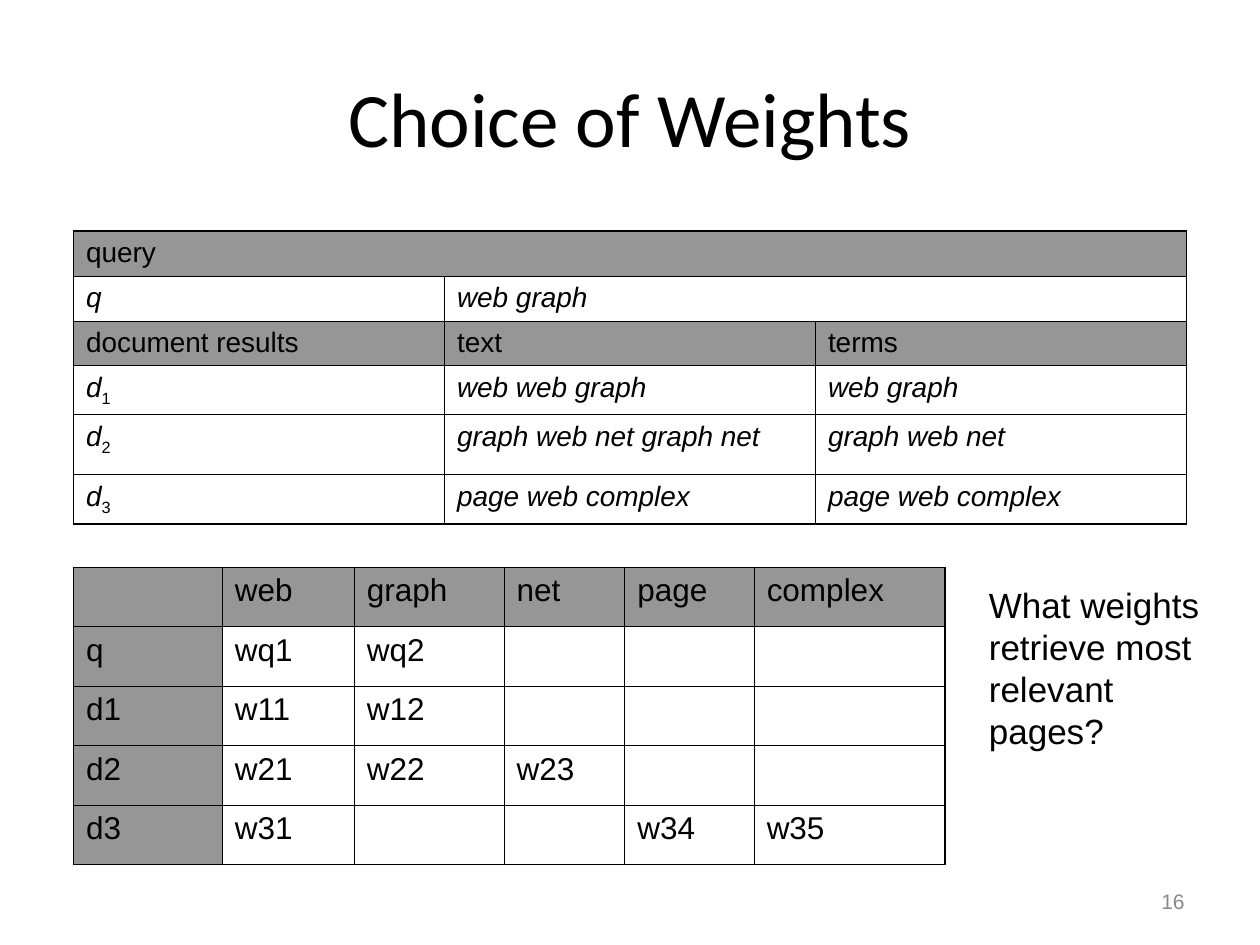
import pptx
import pptx.dml.color
import pptx.enum.text
import pptx.oxml
import pptx.oxml.ns
import pptx.util

Pt = pptx.util.Pt
ALIGN = pptx.enum.text.PP_ALIGN
ANCHOR = pptx.enum.text.MSO_ANCHOR
BLACK, GRAY, HEADER = "000000", "898989", "969696"
THIN, THICK = 0.45, 1.08

DOCUMENTS = dict(
    left=42, top=132, size=16,
    widths=[212] * 3,
    heights=[25.7, 25.7, 25.7, 28, 34.3, 28],
    rows=[
        ["query", "", ""],
        ["q", "web graph", ""],
        ["document results", "text", "terms"],
        ["d_1", "web web graph", "web graph"],
        ["d_2", "graph web net graph net", "graph web net"],
        ["d_3", "page web complex", "page web complex"],
    ],
    header_rows={0, 2}, header_cols=set(), italic_rows={1, 3, 4, 5},
    merges=[((0, 0), (0, 2)), ((1, 1), (1, 2))],
    thick_sides="LTRB",
)
WEIGHTS = dict(
    left=42, top=324, size=18,
    widths=[85, 75.5, 85.5, 69, 74, 109],
    heights=[34] * 5,
    rows=[
        ["", "web", "graph", "net", "page", "complex"],
        ["q", "wq1", "wq2", "", "", ""],
        ["d1", "w11", "w12", "", "", ""],
        ["d2", "w21", "w22", "w23", "", ""],
        ["d3", "w31", "", "", "w34", "w35"],
    ],
    header_rows={0}, header_cols={0}, italic_rows=set(),
    merges=[],
    thick_sides="RB",
)
BOXES = [
    ("Choice of Weights", (36, 21.6, 648, 90),
     dict(size=44, font="Calibri", align=ALIGN.CENTER), ANCHOR.MIDDLE),
    ("16", (516, 500.4, 168, 28.8),
     dict(size=12, color=GRAY, align=ALIGN.RIGHT), ANCHOR.MIDDLE),
    ("What weights retrieve most relevant pages?", (558, 330, 144, 104),
     dict(size=20), ANCHOR.TOP),
]


def rgb(color):
    return pptx.dml.color.RGBColor.from_string(color)


def write(tf, text, size, font="Arial", color=BLACK, italic=False, align=ALIGN.LEFT):
    p = tf.paragraphs[0]
    p.alignment = align
    for i, part in enumerate(text.split("_")):
        r = p.add_run()
        r.text = part
        r.font.name = font
        r.font.size = Pt(size)
        r.font.color.rgb = rgb(color)
        r.font.italic = italic and i == 0
        if i:
            r.font._element.set("baseline", "-25000")


def set_borders(cell, widths):
    tcPr = cell._tc.get_or_add_tcPr()
    for i, (side, width) in enumerate(widths.items()):
        tcPr.insert(i, pptx.oxml.parse_xml(
            f'<a:ln{side} {pptx.oxml.ns.nsdecls("a")} w="{Pt(width)}">'
            f'<a:solidFill><a:srgbClr val="{BLACK}"/></a:solidFill></a:ln{side}>'))


def add_grid(s, left, top, size, widths, heights, rows, header_rows, header_cols,
             italic_rows, merges, thick_sides):
    table = s.shapes.add_table(len(rows), len(widths), Pt(left), Pt(top),
                               Pt(sum(widths)), Pt(sum(heights))).table
    table.first_row = table.horz_banding = False
    for column, width in zip(table.columns, widths):
        column.width = Pt(width)
    for row, height in zip(table.rows, heights):
        row.height = Pt(height)
    for start, end in merges:
        table.cell(*start).merge(table.cell(*end))
    for i, row in enumerate(rows):
        for j, text in enumerate(row):
            cell = table.cell(i, j)
            if i in header_rows or j in header_cols:
                cell.fill.solid()
                cell.fill.fore_color.rgb = rgb(HEADER)
            else:
                cell.fill.background()
            edges = dict(L=j == 0, R=j == len(row) - 1, T=i == 0, B=i == len(rows) - 1)
            set_borders(cell, {side: THICK if edge and side in thick_sides else THIN
                               for side, edge in edges.items()})
            if text:
                write(cell.text_frame, text, size, italic=i in italic_rows)


def main():
    prs = pptx.Presentation()
    prs.slide_width, prs.slide_height = Pt(720), Pt(540)
    s = prs.slides.add_slide(prs.slide_layouts[6])
    for grid in (DOCUMENTS, WEIGHTS):
        add_grid(s, **grid)
    for text, place, style, anchor in BOXES:
        tf = s.shapes.add_textbox(*map(Pt, place)).text_frame
        tf.word_wrap = True
        tf.vertical_anchor = anchor
        write(tf, text, **style)
    prs.save("out.pptx")


if __name__ == "__main__":
    main()
